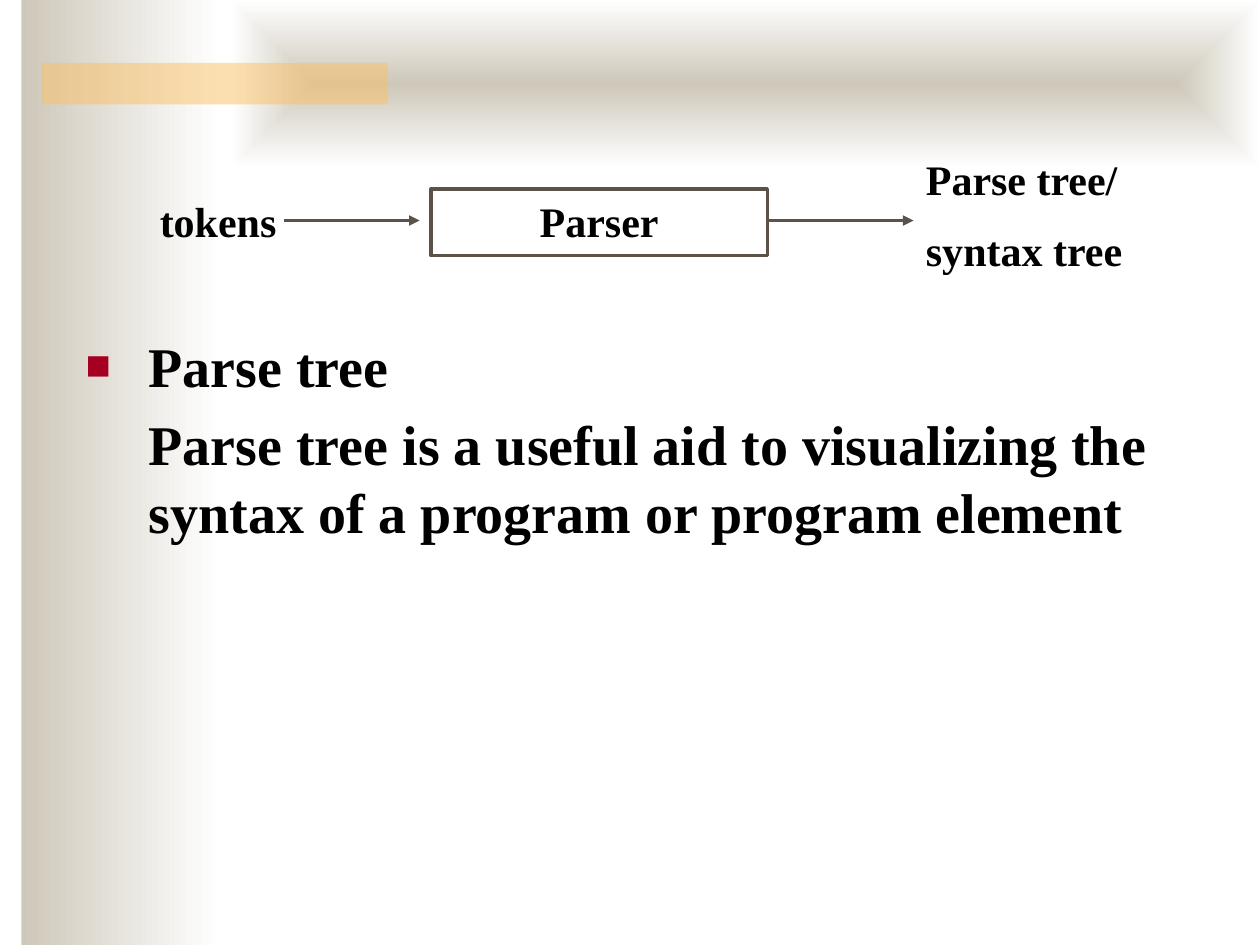
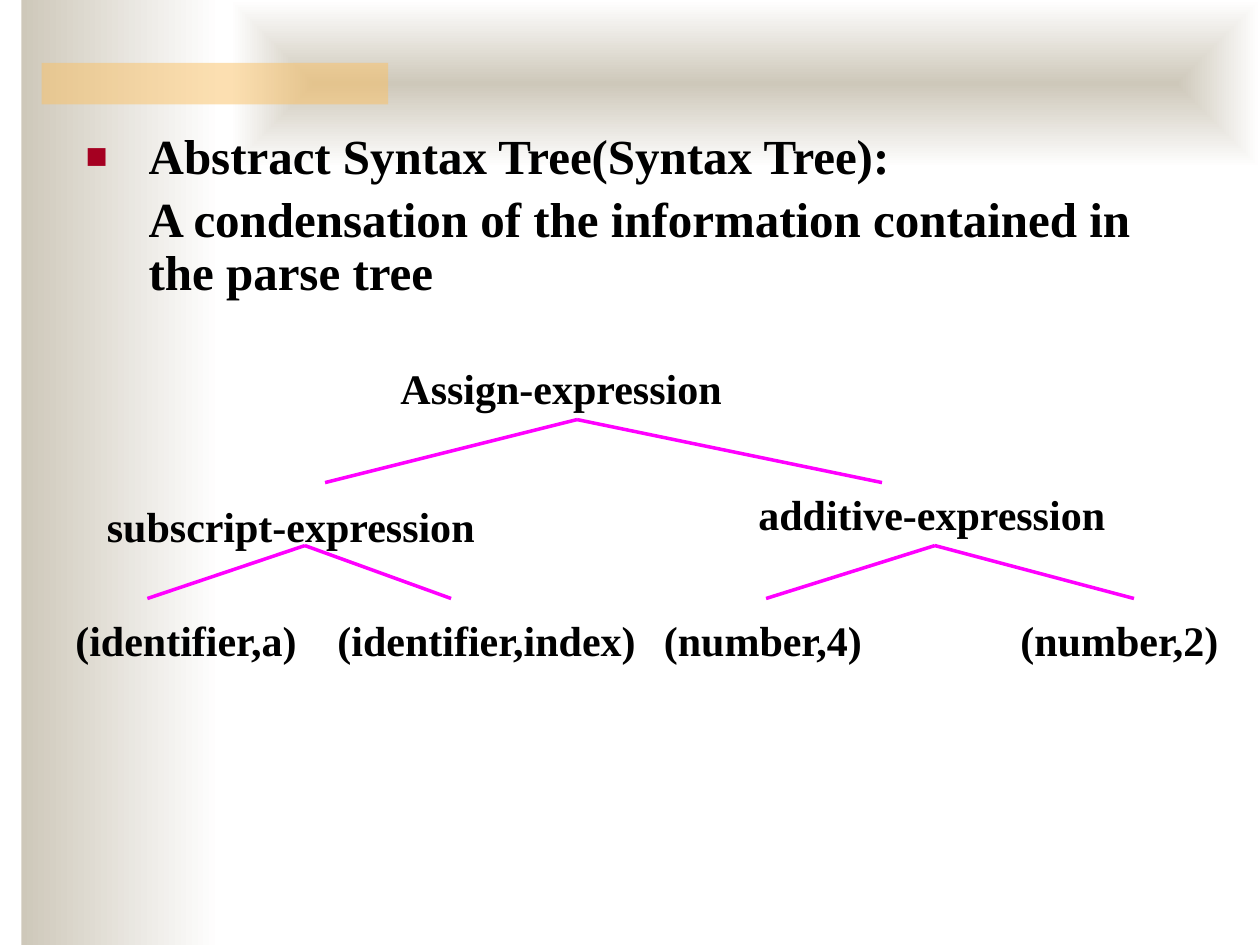
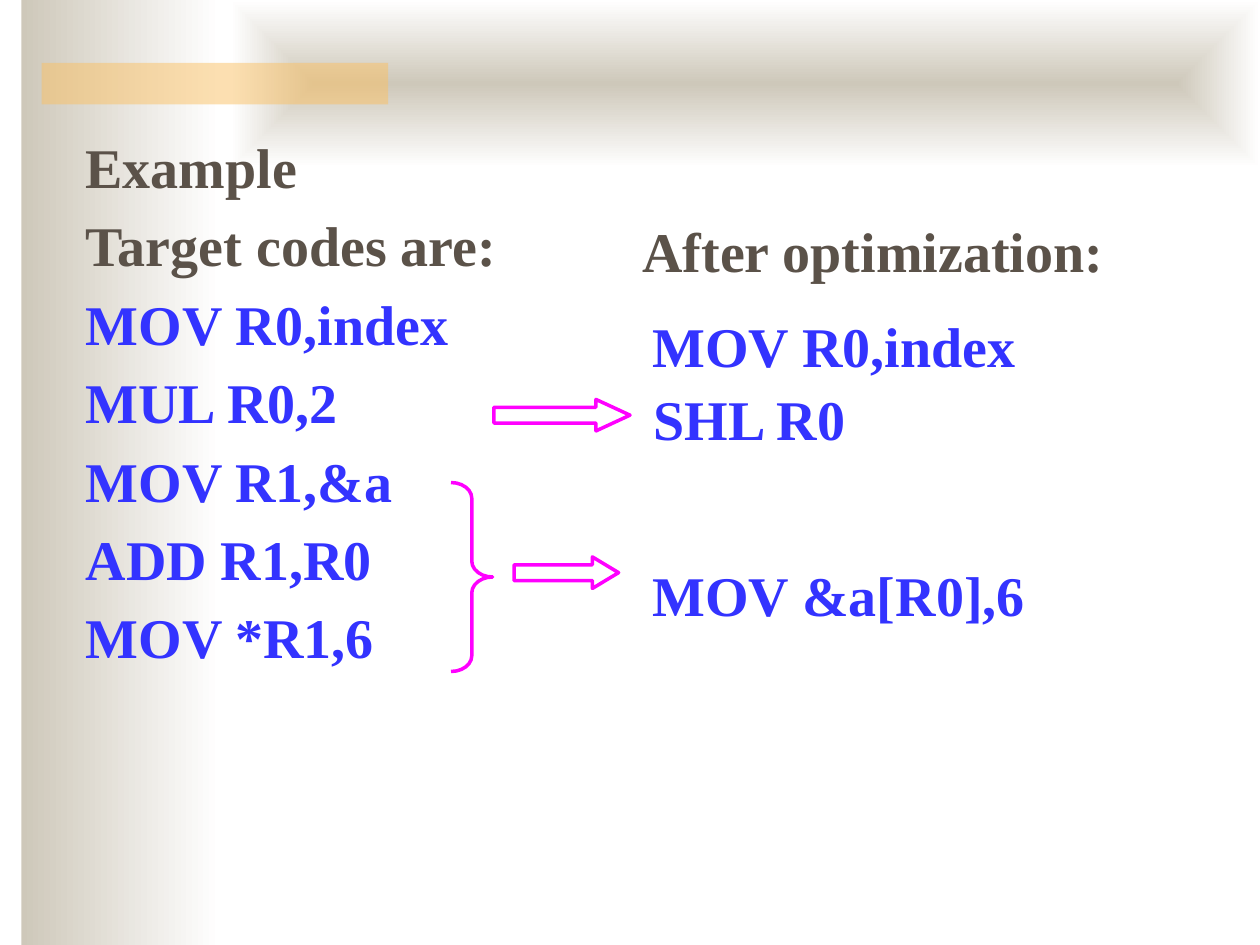
from lxml import etree
from pptx import Presentation
from pptx.dml.color import RGBColor
from pptx.enum.shapes import MSO_CONNECTOR, MSO_SHAPE
from pptx.enum.text import MSO_ANCHOR, MSO_AUTO_SIZE, PP_ALIGN
from pptx.oxml.ns import qn
from pptx.util import Inches, Pt

RECT, ARROW, BRACE = MSO_SHAPE.RECTANGLE, MSO_SHAPE.RIGHT_ARROW, MSO_SHAPE.RIGHT_BRACE
STRAIGHT = MSO_CONNECTOR.STRAIGHT
TOP, CENTER, LEFT = MSO_ANCHOR.TOP, PP_ALIGN.CENTER, PP_ALIGN.LEFT
NO_FIT = MSO_AUTO_SIZE.NONE

FONT = "Times New Roman"
BLACK, WHITE, BROWN, BLUE = "000000", "FFFFFF", "5B5249", "3333FF"
PINK, RED, SAND, GOLD = "FF00FF", "A50021", "CEC8BA", "FAC164"
LINE_WIDTH = 2


def rgb(value):
    """Turn a hex string into a colour."""
    return RGBColor.from_string(value)


def inches(*values):
    """Turn numbers into lengths."""
    return [Inches(v) for v in values]


def add_xml(parent, tag, **attrs):
    """Append a DrawingML element and return it."""
    return etree.SubElement(parent, qn(tag), attrs)


def set_attrs(obj, values):
    """Set attributes from a dict of format values."""
    for name, value in values.items():
        setattr(obj, name, value)


def write(p, text, size, color, before=0.0, align=LEFT):
    """Write one bold run; before is a share of the text size."""
    set_attrs(p, {"alignment": align, "space_before": Pt(size * before)})
    r = p.add_run()
    r.text = text
    set_attrs(r.font, {"name": FONT, "size": Pt(size), "bold": True})
    r.font.color.rgb = rgb(color)


def add_label(s, box, lines, size=24, color=BLACK, wrap=True):
    """Add a text box with one paragraph for each line."""
    tf = s.shapes.add_textbox(*inches(*box)).text_frame
    set_attrs(tf, {"word_wrap": wrap, "vertical_anchor": TOP})
    for i, text in enumerate(lines):
        p = tf.add_paragraph() if i else tf.paragraphs[0]
        write(p, text, size, color, 0.5)


def add_outline(s, kind, box, color, adjustments=()):
    """Add an unfilled preset shape with a coloured outline."""
    sp = s.shapes.add_shape(kind, *inches(*box))
    sp.shadow.inherit = False
    sp.fill.background()
    sp.line.color.rgb = rgb(color)
    sp.line.width = Pt(LINE_WIDTH)
    for i, value in enumerate(adjustments):
        sp.adjustments[i] = value
    return sp


def add_line(s, start, end, color, arrow=False):
    """Add a straight connector, with an arrowhead if wanted."""
    cn = s.shapes.add_connector(STRAIGHT, *inches(*start, *end))
    cn.line.color.rgb = rgb(color)
    cn.line.width = Pt(LINE_WIDTH)
    sp_pr = cn.element.spPr
    if arrow:
        add_xml(sp_pr.find(qn("a:ln")), "a:tailEnd", type="triangle")
    add_xml(sp_pr, "a:effectLst")


def add_band(s, box):
    """Add a borderless rectangle for the background."""
    sp = s.shapes.add_shape(RECT, *inches(*box))
    sp.shadow.inherit = False
    sp.line.fill.background()
    return sp


def fade(sp, from_center=False):
    """Fade a band from sand to white, across or out from its centre."""
    sp.fill.gradient()
    sp.fill.gradient_angle = 0
    for stop, color in zip(sp.fill.gradient_stops, (SAND, WHITE)):
        stop.color.rgb = rgb(color)
    if from_center:
        grad = sp.element.spPr.find(qn("a:gradFill"))
        grad.remove(grad.find(qn("a:lin")))
        shape = add_xml(grad, "a:path", path="shape")
        add_xml(shape, "a:fillToRect", **dict.fromkeys("ltrb", "50000"))


def decorate_master(prs, s):
    """Draw the three bands and move them to the master, behind all else."""
    side = add_band(s, (0.17, 0, 1.58, 7.5))
    fade(side)
    header = add_band(s, (1.83, 0, 8.17, 1.33))
    fade(header, from_center=True)
    accent = add_band(s, (0.33, 0.5, 2.75, 0.33))
    accent.fill.solid()
    accent.fill.fore_color.rgb = rgb(GOLD)
    color = accent.element.spPr.find(qn("a:solidFill"))[0]
    add_xml(color, "a:alpha", val="50000")
    tree = prs.slide_master.shapes.element
    for i, sp in enumerate((side, header, accent)):
        tree.insert(2 + i, sp.element)


def add_slide(prs):
    """Add a slide that keeps only the body placeholder."""
    s = prs.slides.add_slide(prs.slide_layouts[1])
    title = s.shapes.title.element
    title.getparent().remove(title)
    return s


def fill_body(s, box, items, size, spacing=1.0, margin=0.0):
    """Fill the body with (text, colour, bulleted) items."""
    sp = s.placeholders[1]
    set_attrs(sp, dict(zip(("left", "top", "width", "height"), inches(*box))))
    tf = sp.text_frame
    set_attrs(tf, {"auto_size": NO_FIT, "word_wrap": True, "vertical_anchor": TOP})
    for i, (text, color, bulleted) in enumerate(items):
        p = tf.add_paragraph() if i else tf.paragraphs[0]
        write(p, text, size, color, 0.2)
        p.line_spacing = spacing
        p_pr = p._p.get_or_add_pPr()
        p_pr.set("marL", str(Inches(margin)))
        p_pr.set("indent", str(Inches(-margin if bulleted else 0)))
        if bulleted:
            add_xml(add_xml(p_pr, "a:buClr"), "a:srgbClr", val=RED)
            add_xml(p_pr, "a:buSzPct", val="75000")
            add_xml(p_pr, "a:buFont", typeface=FONT)
            add_xml(p_pr, "a:buChar", char="■")
        else:
            add_xml(p_pr, "a:buNone")


def parser_flow(s, x, y):
    """Draw the flow from tokens through the parser to the tree."""
    add_label(s, (x, y + 0.33, 1.17, 0.5), ["tokens"])
    sp = add_outline(s, RECT, (x + 2.25, y + 0.33, 2.67, 0.53), BROWN)
    sp.text_frame.vertical_anchor = TOP
    write(sp.text_frame.paragraphs[0], "Parser", 24, BLACK, 0.5, CENTER)
    add_label(s, (x + 6.08, y, 2.08, 1.1), ["Parse tree/", "syntax tree"])
    for start, end in ((1.08, 2.16), (4.91, 6.08)):
        add_line(s, (x + start, y + 0.58), (x + end, y + 0.58), BROWN, arrow=True)


def syntax_tree(s, x, y):
    """Draw the nodes of the tree and the forks between them."""
    nodes = [
        ("Assign-expression", 2.58, 0, 3),
        ("subscript-expression", 0.25, 1.09, 3.33),
        ("additive-expression", 5.42, 1, 3),
        ("(identifier,a)", 0, 2, 2),
        ("(identifier,index)", 2.08, 2, 2.58),
        ("(number,4)", 4.67, 2, 1.92),
        ("(number,2)", 7.5, 2, 1.92),
    ]
    forks = [
        ((4.08, 0.5), (2.08, 6.5), 1),
        ((1.92, 1.5), (0.67, 3.08), 1.92),
        ((6.92, 1.5), (5.58, 8.5), 1.92),
    ]
    for text, left, top, width in nodes:
        add_label(s, (x + left, y + top, width, 0.5), [text])
    for (left, top), ends, bottom in forks:
        for end in ends:
            add_line(s, (x + left, y + top), (x + end, y + bottom), PINK)


def optimized_code(s, x, y):
    """Place the optimized code and the marks that lead to it."""
    lines = [
        ("After optimization:", 1.42, 0, 3.86, BROWN),
        ("MOV R0,index", 1.5, 0.75, 3.09, BLUE),
        ("SHL R0", 1.51, 1.33, 1.74, BLUE),
        ("MOV &a[R0],6", 1.5, 2.73, 3.75, BLUE),
    ]
    marks = [
        (ARROW, 0.34, 1.5, 1.08, 0.25, (0.5, 1.08)),
        (BRACE, 0, 2.16, 0.33, 1.5, (0.38, 0.5)),
        (ARROW, 0.5, 2.75, 0.83, 0.25, (0.5, 0.83)),
    ]
    for text, left, top, width, color in lines:
        add_label(s, (x + left, y + top, width, 0.63), [text], 32, color, wrap=False)
    for kind, left, top, width, height, adjustments in marks:
        add_outline(s, kind, (x + left, y + top, width, height), PINK, adjustments)


def parse_tree_slide(s):
    """Build the slide on the parser and its parse tree."""
    items = [
        ("Parse tree", BLACK, True),
        ("Parse tree is a useful aid to visualizing the syntax of a program "
         "or program element", BLACK, False),
    ]
    fill_body(s, (0.58, 2.58, 9.08, 2.38), items, 32, margin=0.5)
    parser_flow(s, 1.17, 1.17)


def syntax_tree_slide(s):
    """Build the slide on the abstract syntax tree."""
    items = [
        ("Abstract Syntax Tree(Syntax Tree):", BLACK, True),
        ("A condensation of the information contained in the parse tree", BLACK, False),
    ]
    fill_body(s, (0.58, 1, 9.08, 1.58), items, 28, spacing=0.9, margin=0.5)
    syntax_tree(s, 0.5, 2.83)


def optimization_slide(s):
    """Build the slide that compares target code before and after."""
    headings = ["Example", "Target codes are:"]
    code = ["MOV R0,index", "MUL R0,2", "MOV R1,&a", "ADD R1,R0", "MOV *R1,6"]
    items = [(t, BROWN, False) for t in headings] + [(t, BLUE, False) for t in code]
    fill_body(s, (0.58, 1, 3.58, 5.8), items, 32)
    optimized_code(s, 3.58, 1.67)


def main():
    """Build and save the slides."""
    prs = Presentation()
    set_attrs(prs, {"slide_width": Inches(10), "slide_height": Inches(7.5)})
    slides = [add_slide(prs) for _ in range(3)]
    decorate_master(prs, slides[0])
    for build, s in zip((parse_tree_slide, syntax_tree_slide, optimization_slide), slides):
        build(s)
    prs.save("out.pptx")


if __name__ == "__main__":
    main()
